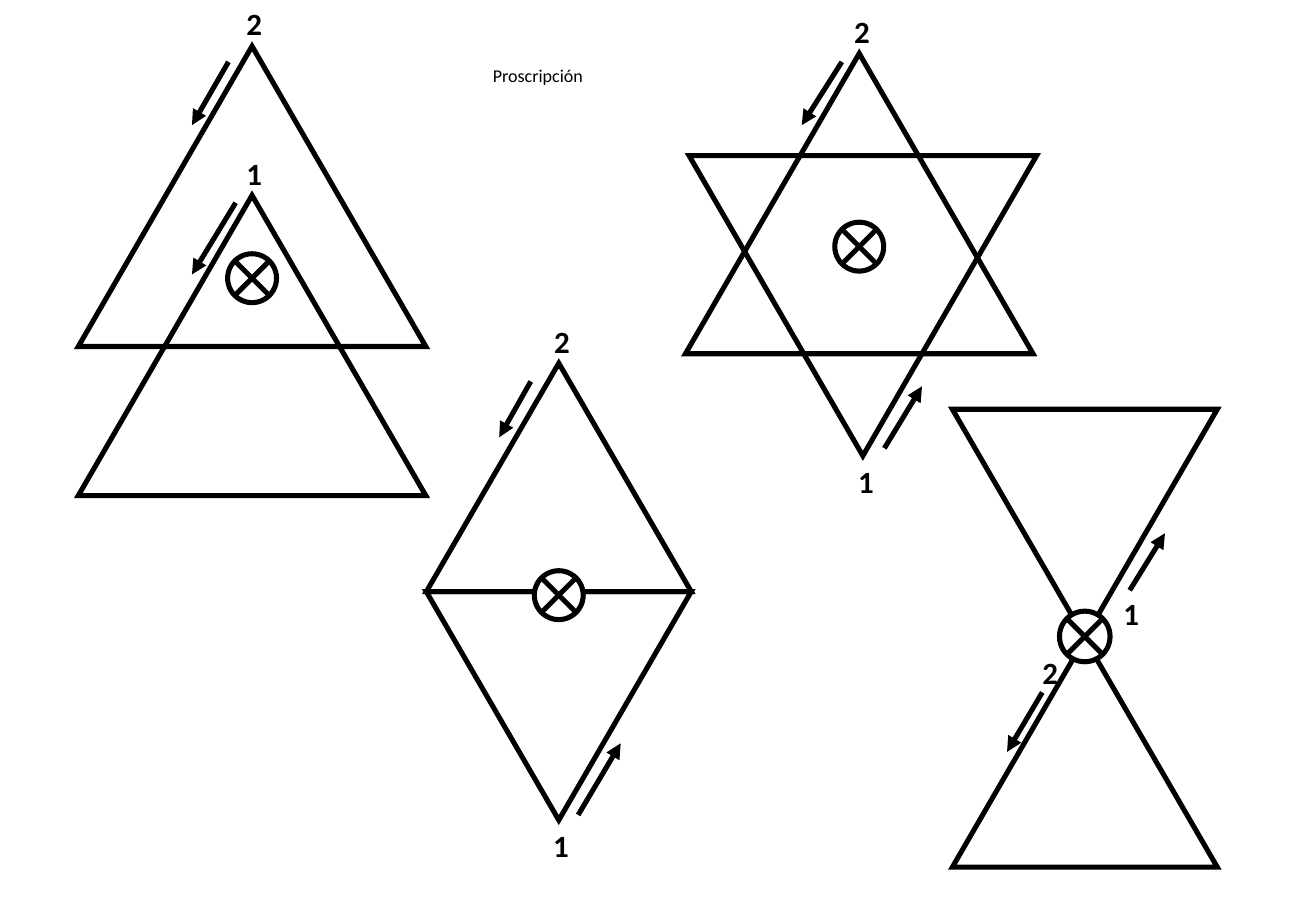
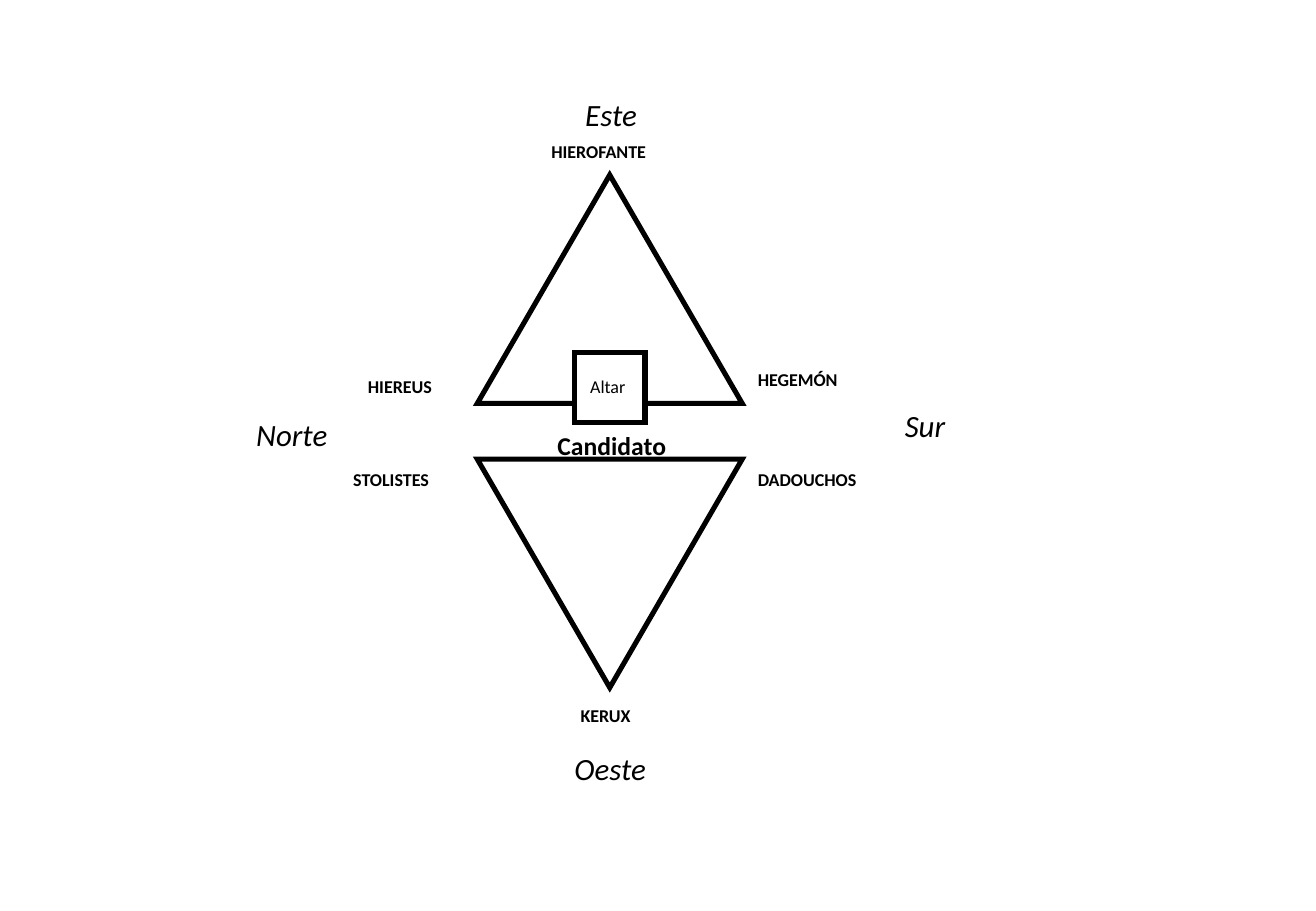
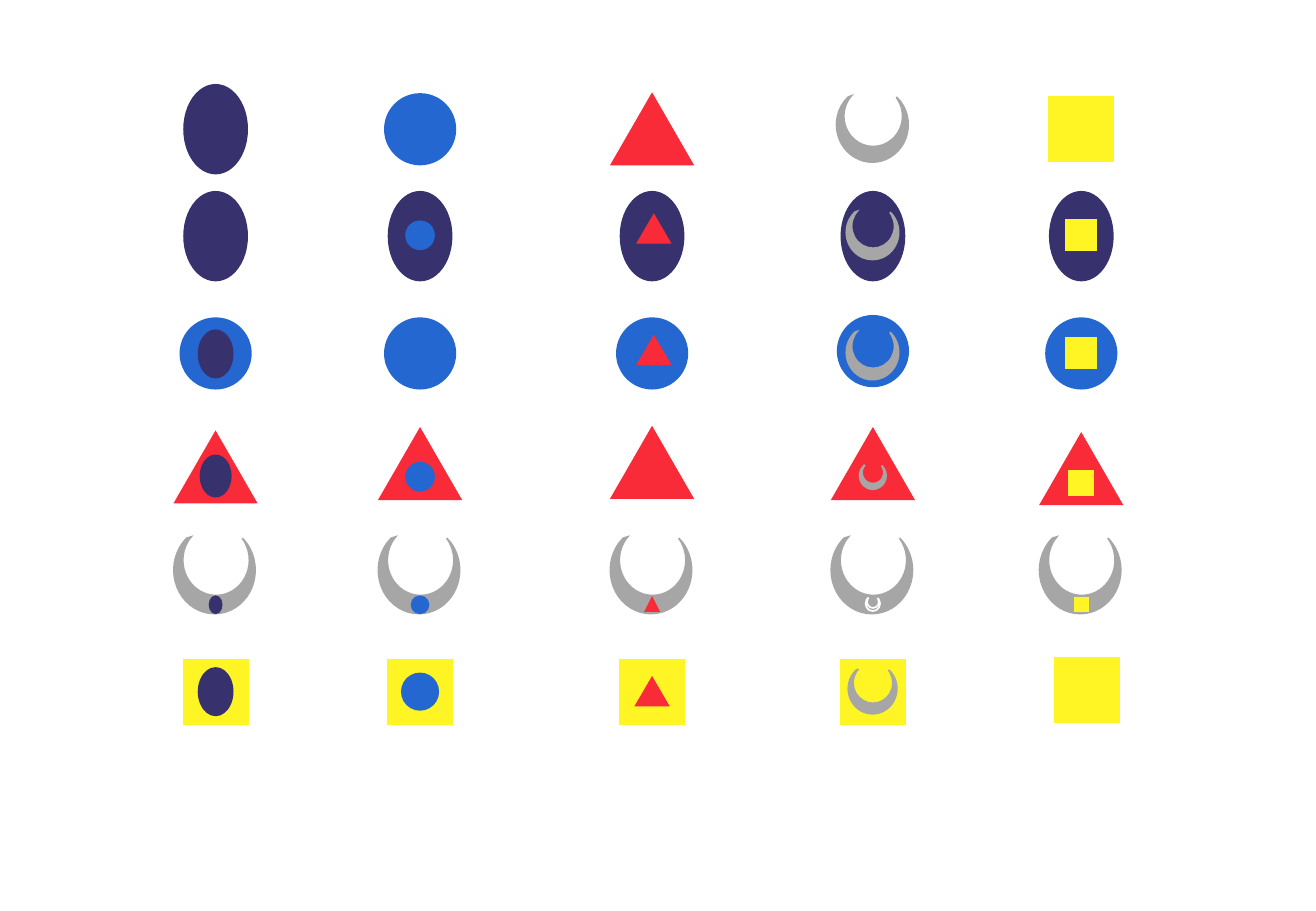
from dataclasses import dataclass
from math import cos, radians, sin

from lxml.etree import SubElement
from pptx import Presentation
from pptx.dml.color import RGBColor as RGB
from pptx.enum.shapes import MSO_CONNECTOR, MSO_SHAPE as SHAPE
from pptx.enum.text import PP_ALIGN as ALIGN
from pptx.oxml.ns import qn
from pptx.util import Pt


@dataclass(frozen=True)
class Theme:
    font: str = "Calibri"
    ink: str = "000000"
    paper: str = "FFFFFF"
    indigo: str = "37316D"
    blue: str = "2467D0"
    red: str = "F92B38"
    silver: str = "A6A6A6"
    yellow: str = "FFF524"
    large: float = 18.3
    medium: float = 15.2
    small: float = 10.7
    stroke: float = 3
    hairline: float = 1


T = Theme()
WIDTH, HEIGHT = 780, 540
NUMBER_W = 24

# kind: (preset, colour, (width, height)); the crescent has no preset
SYMBOLS = {
    "ellipse": (SHAPE.OVAL, T.indigo, (37.4, 52.6)),
    "circle": (SHAPE.OVAL, T.blue, (41.8, 41.8)),
    "triangle": (SHAPE.ISOSCELES_TRIANGLE, T.red, (48.2, 41.8)),
    "crescent": (None, T.silver, (48.2, 46.1)),
    "square": (SHAPE.RECTANGLE, T.yellow, (38.2, 38.2)),
}
COLUMNS = dict(zip(SYMBOLS, (127.8, 249, 386.5, 517.4, 640.9)))

TOP_ROW_Y = 76.6
SMALL_CRESCENT = (42.5, 39.6)
# base: (row centre, {column: base offset}, {column: (inner size, inner offset)})
TATTVA_ROWS = {
    "ellipse": (140, {}, {
        "circle": ((16.6, 16.6), (0, -0.5)),
        "triangle": ((19.4, 16.6), (1.1, -4.3)),
        "crescent": ((31, 28.8), (0, -0.3)),
        "square": ((18, 18), (0, -0.5)),
    }),
    "circle": (209.5, {"crescent": (0, -1.4)}, {
        "ellipse": ((20.2, 28.1), (0, 0.3)),
        "triangle": ((19.4, 16.6), (1.1, -1.8)),
        "crescent": ((31, 28.8), (0, 1.4)),
        "square": ((18, 18), (0, 0)),
    }),
    "triangle": (275, {"ellipse": (0, 2), "triangle": (0, -0.7), "square": (0, 3)}, {
        "ellipse": ((18, 24.5), (0, 7.2)),
        "circle": ((16.6, 16.6), (0, 7.6)),
        "crescent": ((15.8, 14.4), (0, 7.9)),
        "square": ((14.4, 14.4), (0, 11.5)),
    }),
    "crescent": (341.3, {}, {
        "ellipse": ((7.2, 10.1), (0, 17.2)),
        "circle": ((10.1, 10.1), (0, 17.2)),
        "triangle": ((7.9, 7.9), (0, 17)),
        "crescent": ((8.6, 7.9), (0, 17)),
        "square": ((7.9, 7.9), (0, 17)),
    }),
    "square": (410, {"square": (3.6, -0.7)}, {
        "ellipse": ((20.2, 28.1), (0, 0)),
        "circle": ((21.6, 21.6), (0, 0)),
        "triangle": ((19.4, 16.6), (0, 0)),
        "crescent": ((28.8, 26.6), (0, 0)),
    }),
}


def paint(sh, fill, line, width):
    sh.shadow.inherit = False
    if fill:
        sh.fill.solid()
        sh.fill.fore_color.rgb = RGB.from_string(fill)
    else:
        sh.fill.background()
    sh.line.color.rgb = RGB.from_string(line)
    sh.line.width = Pt(width)
    SubElement(sh.element.spPr.find(qn("a:ln")), qn("a:miter"), lim="800000")


def add_preset(s, preset, box, fill=None, line=T.ink, width=T.stroke):
    sh = s.shapes.add_shape(preset, *map(Pt, box))
    paint(sh, fill, line, width)
    return sh


def add_label(s, text, x, y, w, size, bold=False, italic=False, align=ALIGN.LEFT):
    tb = s.shapes.add_textbox(Pt(x), Pt(y), Pt(w), Pt(size * 1.22 + 7.2))
    tf = tb.text_frame
    tf.word_wrap = False
    p = tf.paragraphs[0]
    p.text = text
    p.alignment = align
    f = p.font
    f.name, f.size, f.bold, f.italic = T.font, Pt(size), bold, italic
    f.color.rgb = RGB.from_string(T.ink)


def add_arrow(s, x1, y1, x2, y2):
    c = s.shapes.add_connector(MSO_CONNECTOR.STRAIGHT, *map(Pt, (x1, y1, x2, y2)))
    c.line.color.rgb = RGB.from_string(T.ink)
    c.line.width = Pt(T.stroke)
    spPr = c.element.spPr
    SubElement(spPr.find(qn("a:ln")), qn("a:tailEnd"), type="triangle")
    SubElement(spPr, qn("a:effectLst"))


def add_triangle(s, cx, top, size, down=False):
    w, h = size
    sh = add_preset(s, SHAPE.ISOSCELES_TRIANGLE, (cx - w / 2, top, w, h))
    if down:
        sh.rotation = 180


def add_figure(s, cx, top, size, triangles, junction, labels, arrows):
    """Two triangles with numbered arrows; parts are offsets from (cx, top)."""
    for dx, dy, down in triangles:
        add_triangle(s, cx + dx, top + dy, size, down)
    dy, d = junction
    add_preset(s, SHAPE.FLOWCHART_SUMMING_JUNCTION,
               (cx - d / 2, top + dy - d / 2, d, d), T.paper)
    for text, dx, dy in labels:
        add_label(s, text, cx + dx - NUMBER_W / 2, top + dy, NUMBER_W, T.large,
                  bold=True, align=ALIGN.CENTER)
    for x1, y1, x2, y2 in arrows:
        add_arrow(s, cx + x1, top + y1, cx + x2, top + y2)


def add_crescent(s, box, fill, line):
    """Freeform of the box's size whose outline is turned into two arcs."""
    x, y, w, h = box
    corners = [(Pt(x + u * w), Pt(y + v * h)) for u, v in ((0, 0), (1, 0), (1, 1), (0, 1))]
    fb = s.shapes.build_freeform(*corners[0])
    fb.add_line_segments(corners[1:], close=True)
    sh = fb.convert_to_shape()
    outline = next(sh.element.spPr.iter(qn("a:path")))
    for step in list(outline):
        outline.remove(step)

    def go(tag, u, v):
        SubElement(SubElement(outline, qn(tag)), qn("a:pt"),
                   x=str(Pt(u * w)), y=str(Pt(v * h)))

    def arc(tag, cy, rx, ry, start, sweep):
        a = radians(start)
        go(tag, 0.5 + rx * cos(a), cy + ry * sin(a))
        SubElement(outline, qn("a:arcTo"), wR=str(Pt(rx * w)), hR=str(Pt(ry * h)),
                   stAng=str(start % 360 * 60000), swAng=str(sweep * 60000))

    arc("a:moveTo", 0.44, 0.5, 0.56, -49, 278)
    go("a:lnTo", 0.2, 0)
    arc("a:lnTo", 0.31, 0.41, 0.455, 216, -252)
    SubElement(outline, qn("a:close"))
    paint(sh, fill, line, T.hairline)


def add_symbol(s, kind, cx, cy, size=None, line=None):
    preset, colour, full_size = SYMBOLS[kind]
    w, h = size or full_size
    box = (cx - w / 2, cy - h / 2, w, h)
    if preset is None:
        add_crescent(s, box, colour, line or colour)
    else:
        add_preset(s, preset, box, colour, line or colour, T.hairline)


def add_tattva_row(s, base, cy, base_offsets, inner):
    for column, cx in COLUMNS.items():
        dx, dy = base_offsets.get(column, (0, 0))
        add_symbol(s, base, cx + dx, cy + dy)
        if column in inner:
            size, (dx, dy) = inner[column]
            line = T.paper if column == base else None
            add_symbol(s, column, cx + dx, cy + dy, size, line)


def proscription_slide(s):
    big, small = (206, 178), (157, 135.4)
    add_figure(s, 149.4, 27.4, big, [(0, 0, False), (0, 88.4, False)], (137.5, 29),
               [("2", 1.3, -28), ("1", 1.3, 61)],
               [(-14, 9.3, -35.6, 46.8), (-9.7, 92.8, -35.6, 135.3)])
    add_figure(s, 509.3, 31.7, big, [(0, 0, False), (2.1, 60.5, True)], (114.5, 29),
               [("1", 3.9, 239), ("2", 1.5, -28)],
               [(-10.3, 5, -34.1, 42.5), (14.9, 234, 37.2, 197.3)])
    add_figure(s, 331.2, 215.3, small, [(0, 0, False), (0, 135.4, True)], (137.5, 29),
               [("2", 1.8, -27.4), ("1", 1.3, 271.4)],
               [(-16.6, 10.8, -35.3, 43.9), (11.5, 267.8, 36.7, 225.3)])
    add_figure(s, 643, 242.6, small, [(0, 0, True), (0, 136, False)], (134.7, 30),
               [("2", -20.6, 141.2), ("1", 27.5, 106.6)],
               [(-25.2, 167.8, -46.1, 203.1), (26.6, 107.3, 47.5, 73.5)])
    add_label(s, "Proscripción", 285.1, 34.6, 68.4, T.small)


def temple_slide(s):
    cx, size, altar = 361.4, (157, 135.4), 41.8
    add_triangle(s, cx, 103.7, size)
    add_triangle(s, cx, 272.2, size, down=True)
    add_preset(s, SHAPE.RECTANGLE, (cx - altar / 2, 208.8, altar, altar), T.paper)
    for text, x, y, w in (("Este", 339.8, 53.3, 45.4), ("Oeste", 333.4, 440.6, 57.6),
                          ("Sur", 529.2, 237.6, 38.9), ("Norte", 144.7, 242.6, 56.9)):
        add_label(s, text, x, y, w, T.large, italic=True)
    add_label(s, "Altar", 342.7, 218.9, 36, T.small)
    add_label(s, "Candidato", 323.3, 251.3, 79.9, T.medium, bold=True)
    for text, x, y, w in (("HEGEMÓN", 442.1, 214.6, 62.6),
                          ("DADOUCHOS", 442.1, 274.3, 74.2),
                          ("HIEREUS", 211, 218.9, 53.3),
                          ("HIEROFANTE", 319.7, 79.9, 72),
                          ("STOLISTES", 202.3, 274.3, 60.5),
                          ("KERUX", 337, 414, 44.6)):
        add_label(s, text, x, y, w, T.small, bold=True)


def tattva_slide(s):
    for kind, cx in COLUMNS.items():
        add_symbol(s, kind, cx, TOP_ROW_Y, SMALL_CRESCENT if kind == "crescent" else None)
    for base, row in TATTVA_ROWS.items():
        add_tattva_row(s, base, *row)


def main():
    prs = Presentation()
    prs.slide_width, prs.slide_height = Pt(WIDTH), Pt(HEIGHT)
    for build in (proscription_slide, temple_slide, tattva_slide):
        build(prs.slides.add_slide(prs.slide_layouts[6]))
    prs.save("out.pptx")


if __name__ == "__main__":
    main()
